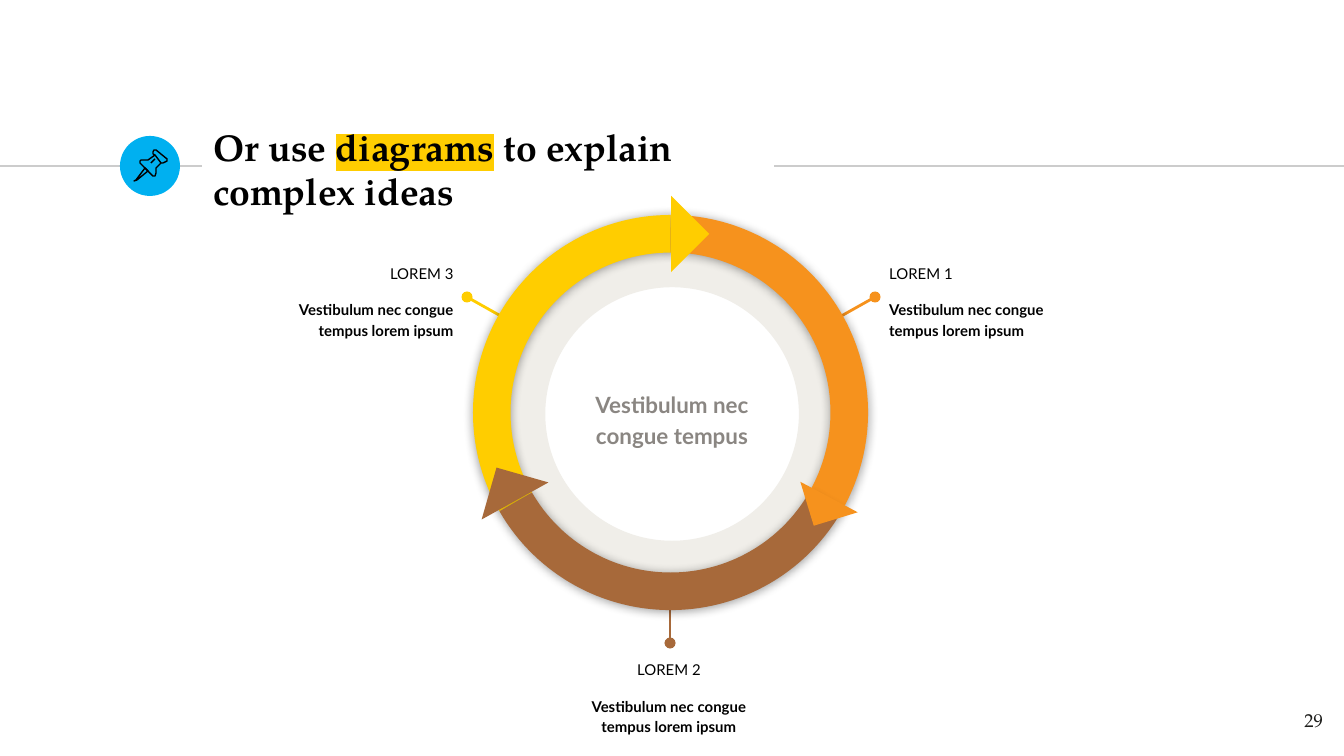
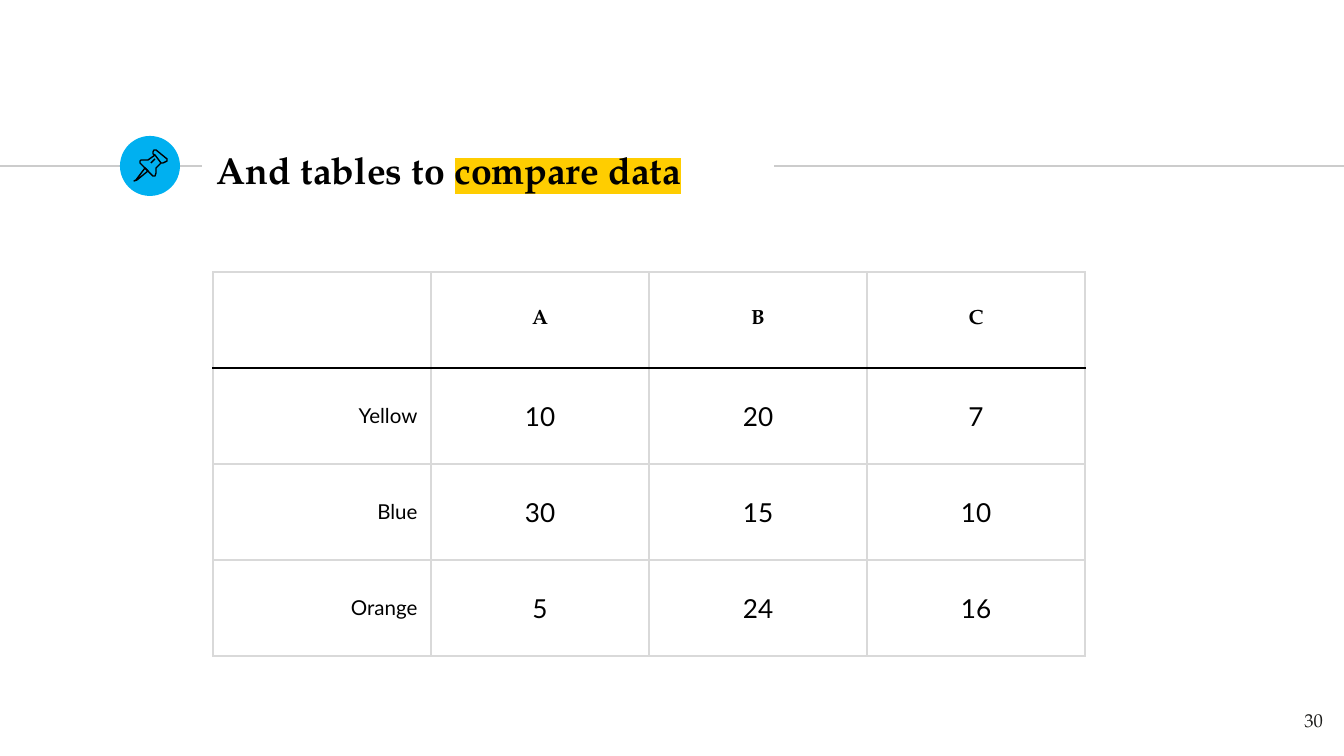
from lxml import etree
from pptx import Presentation, util as u
from pptx.dml.color import RGBColor
from pptx.enum import shapes, text
from pptx.oxml import parse_xml
from pptx.oxml.ns import nsdecls, qn

PX = 6804  # EMU in one px, 1344 px to the slide width

BLACK = RGBColor(0x00, 0x00, 0x00)
INK = RGBColor(0x1D, 0x1D, 0x1B)
GREY = RGBColor(0x8A, 0x86, 0x82)
RULE = RGBColor(0xCC, 0xCC, 0xCC)
GRID = RGBColor(0xD9, 0xD9, 0xD9)
PALE = RGBColor(0xF0, 0xEE, 0xE9)
BLUE = RGBColor(0x00, 0xB0, 0xF0)
YELLOW = RGBColor(0xFF, 0xCD, 0x00)
ORANGE = RGBColor(0xF6, 0x92, 0x1D)
BROWN = RGBColor(0xA7, 0x69, 0x3A)

SERIF, SANS = "TeX Gyre Pagella", "Lato"
LEFT, CENTER, RIGHT = text.PP_ALIGN.LEFT, text.PP_ALIGN.CENTER, text.PP_ALIGN.RIGHT
TOP, MIDDLE = text.MSO_ANCHOR.TOP, text.MSO_ANCHOR.MIDDLE
SHAPE = shapes.MSO_SHAPE


def add_text(page, place, lines, font, size, color=BLACK, align=LEFT,
             anchor=TOP, bold=False, spacing=1.0):
    """Add a text box with one paragraph a line; |bars| mark highlighted words."""
    box = page.shapes.add_textbox(*(length * PX for length in place))
    frame = box.text_frame
    frame.word_wrap = True
    frame.vertical_anchor = anchor
    frame.margin_left = frame.margin_right = u.Inches(0.1)
    frame.margin_top = frame.margin_bottom = u.Inches(0.1)
    frame.text = "\n".join(lines).replace("|", "")
    for para, line in zip(frame.paragraphs, lines):
        para.alignment = align
        para.line_spacing = spacing
        parts = line.split("|")
        para.runs[0].text = parts[0]
        for part in filter(None, parts[1:]):
            para.add_run().text = part
        for index, span in enumerate(para.runs):
            span.font.name = font
            span.font.size = u.Pt(size)
            span.font.bold = bold
            span.font.color.rgb = color
            if index % 2:
                span.font._element.find(qn("a:latin")).addprevious(parse_xml(
                    f'<a:highlight {nsdecls("a")}><a:srgbClr val="{YELLOW}"/></a:highlight>'))
    return frame


def add_line(page, ends, color, width):
    line = page.shapes.add_connector(
        shapes.MSO_CONNECTOR.STRAIGHT, *(length * PX for length in ends))
    line.line.color.rgb = color
    line.line.width = u.Pt(width)
    etree.SubElement(line._element.spPr, qn("a:effectLst"))
    return line


deck = Presentation()
deck.slide_width = u.Inches(10)
deck.slide_height = u.Inches(5.625)

# Shared header, pushpin icon and page number
pin_outlines = [
    ([(145, 168), (136, 180), (134, 181), (137, 180), (148, 171)], True),
    ([(155, 155), (161, 163), (163, 163), (165, 162), (167, 161), (167, 159),
      (156, 150), (154, 150), (153, 152), (153, 154)], True),
    ([(155, 155), (148, 160), (145, 160), (141, 160), (140, 161), (140, 163),
      (153, 176), (155, 176), (156, 173), (156, 168), (161, 163)], False),
    ([(151, 163), (155, 159)], False),
]
titles = [
    ("Or use |diagrams| to explain complex ideas", 29, (200, 136, 571, 65)),
    ("And tables to |compare data", 30, (203, 137, 570, 65)),
]
pages = []
for title, number, place in titles:
    page = deck.slides.add_slide(deck.slide_layouts[6])
    pages.append(page)
    add_line(page, (0, 166, 202, 166), RULE, 0.75)
    badge = page.shapes.add_shape(SHAPE.OVAL, 120 * PX, 136 * PX, 60 * PX, 60 * PX)
    badge.shadow.inherit = False
    badge.fill.solid()
    badge.fill.fore_color.rgb = BLUE
    badge.line.fill.background()
    add_line(page, (774, 166, 1344, 166), RULE, 0.75)
    add_text(page, place, [title], SERIF, 20, anchor=MIDDLE, bold=True)

    pin = page.shapes.add_group_shape()
    for points, closed in pin_outlines:
        builder = pin.shapes.build_freeform(*points[0], scale=PX)
        builder.add_line_segments(points[1:], close=closed)
        outline = builder.convert_to_shape()
        outline.shadow.inherit = False
        outline.fill.background()
        outline.line.color.rgb = BLACK
        outline.line.width = u.Pt(0.75)
    add_text(page, (1255, 698, 81, 58), [str(number)], SERIF, 10, INK, RIGHT)

diagram_page, table_page = pages

# Cycle diagram
ring = diagram_page.shapes.add_shape(SHAPE.DONUT, 485 * PX, 227 * PX, 374 * PX, 374 * PX)
ring.adjustments[0] = 0.161
ring.shadow.inherit = False
ring.fill.solid()
ring.fill.fore_color.rgb = PALE
ring.line.fill.background()

callouts = [
    ("LOREM 3", YELLOW, (467, 297, 531, 333), (247, 249), RIGHT),
    ("LOREM 1", ORANGE, (875, 297, 811, 333), (876, 249), LEFT),
    ("LOREM 2", BROWN, (670, 643, 670, 575), (559, 645), CENTER),
]
for label, color, ends, (left, top), align in callouts:
    pointer = add_line(diagram_page, ends, color, 1.5)
    etree.SubElement(pointer.line._get_or_add_ln(), qn("a:headEnd"), type="oval")
    frame = add_text(diagram_page, (left, top, 220, 98),
                     [label, "Vestibulum nec congue tempus lorem ipsum"],
                     SANS, 8, align=align, spacing=1.15)
    detail = frame.paragraphs[1]
    detail.space_before = u.Pt(8.3)
    detail.runs[0].font.bold = True

add_text(diagram_page, (566, 359, 212, 118), ["Vestibulum nec congue tempus"],
         SANS, 12, GREY, CENTER, MIDDLE, True, 1.15)

# Each arc covers a third of the circle; heads lie over the arc that follows
ARC, HEAD = SHAPE.BLOCK_ARC, SHAPE.RIGHT_TRIANGLE
cycle_parts = [
    (ARC, ORANGE, 30, (473, 215, 395)),
    (ARC, YELLOW, 270, (473, 215, 395)),
    (HEAD, YELLOW, 225, (644, 207, 54)),
    (ARC, BROWN, 150, (473, 215, 395)),
    (HEAD, ORANGE, 343, (806, 474, 46)),
    (HEAD, BROWN, 106, (488, 474, 54)),
]
for kind, color, rotation, (left, top, size) in cycle_parts:
    part = diagram_page.shapes.add_shape(kind, left * PX, top * PX, size * PX, size * PX)
    part.rotation = rotation
    part.fill.solid()
    part.fill.fore_color.rgb = color
    part.line.fill.background()
    part.shadow.inherit = False
    if kind == ARC:
        part.adjustments[0] = 240 * 0.6  # degrees in units of 100000/60000
        part.adjustments[1] = 0
        part.adjustments[2] = 0.095
        effects = part._element.spPr.find(qn("a:effectLst"))
        effects.append(parse_xml(
            f'<a:outerShdw {nsdecls("a")} blurRad="{u.Pt(5.6)}" dist="{u.Pt(0.8)}" '
            'dir="5400000" rotWithShape="0"><a:srgbClr val="000000">'
            '<a:alpha val="40000"/></a:srgbClr></a:outerShdw>'))

# Comparison table
rows = [
    ("", "A", "B", "C"),
    ("Yellow", "10", "20", "7"),
    ("Blue", "30", "15", "10"),
    ("Orange", "5", "24", "16"),
]
table = table_page.shapes.add_table(
    4, 4, 213 * PX, 272 * PX, 4 * 218 * PX, 4 * 96 * PX).table
table.first_row = table.horz_banding = False
for row_index, row in enumerate(rows):
    for column_index, value in enumerate(row):
        cell = table.cell(row_index, column_index)
        cell.text = value
        cell.vertical_anchor = MIDDLE
        cell.margin_left = cell.margin_right = u.Inches(0.1)
        cell.margin_top = cell.margin_bottom = u.Inches(0.07)
        is_header, is_label = row_index == 0, column_index == 0
        para = cell.text_frame.paragraphs[0]
        para.alignment = RIGHT if is_label else CENTER
        for span in para.runs:
            span.font.name = SERIF if is_header else SANS
            span.font.size = u.Pt(11 if is_header or is_label else 14)
            span.font.bold = is_header
            span.font.color.rgb = BLACK
        for side in "LRTB":
            under_header = (row_index, side) in [(0, "B"), (1, "T")]
            cell._tc.get_or_add_tcPr().append(parse_xml(
                f'<a:ln{side} {nsdecls("a")} w="{u.Pt(0.75)}"><a:solidFill>'
                f'<a:srgbClr val="{BLACK if under_header else GRID}"/>'
                f'</a:solidFill></a:ln{side}>'))
        cell.fill.background()

deck.save("out.pptx")
